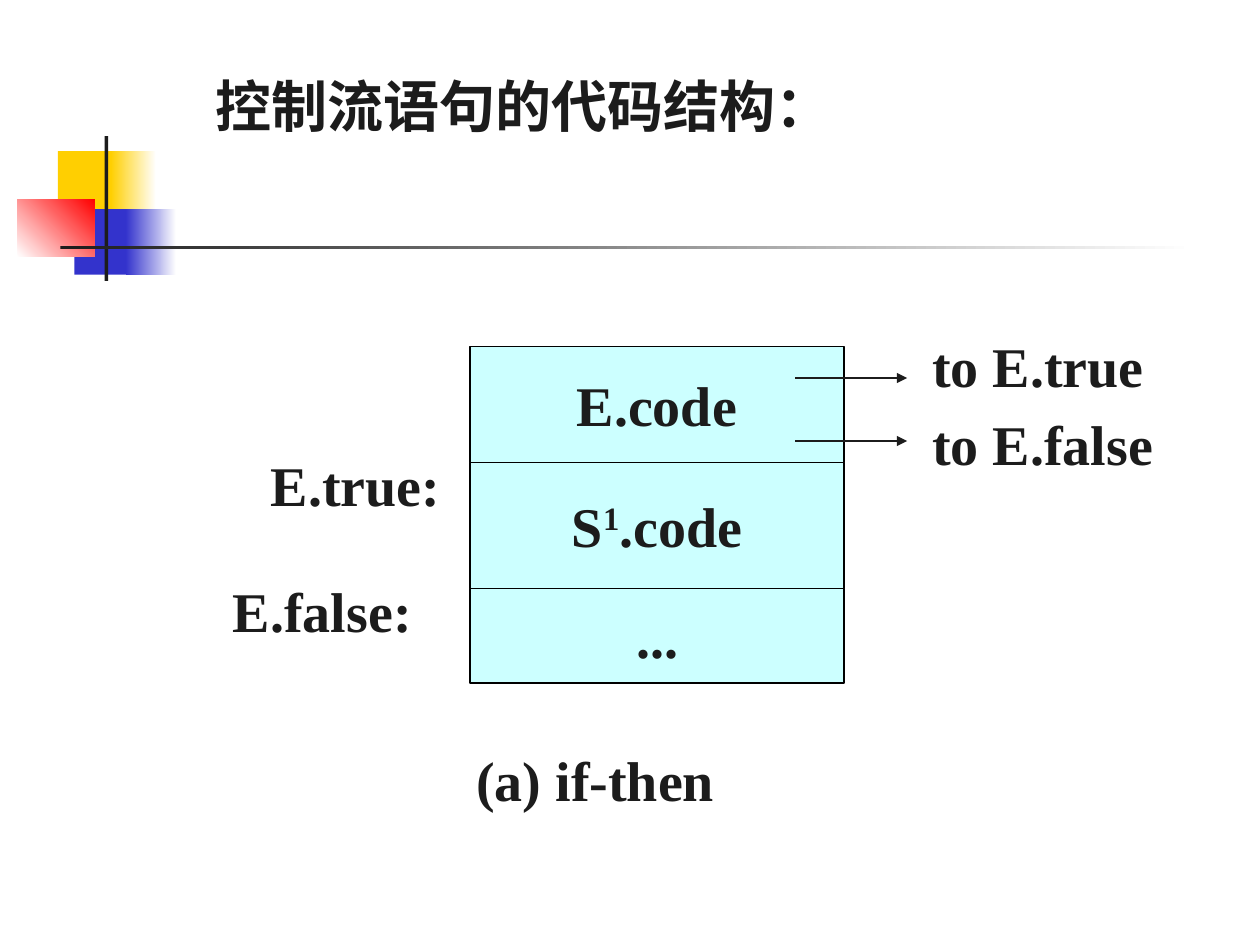
from pptx import Presentation
from pptx.dml.color import RGBColor
from pptx.enum.shapes import MSO_CONNECTOR, MSO_SHAPE
from pptx.enum.text import MSO_ANCHOR, PP_ALIGN
from pptx.oxml.ns import qn
from pptx.util import Inches, Pt
from lxml import etree

RECT, STRAIGHT = MSO_SHAPE.RECTANGLE, MSO_CONNECTOR.STRAIGHT
TOP, MIDDLE = MSO_ANCHOR.TOP, MSO_ANCHOR.MIDDLE
LEFT, CENTER = PP_ALIGN.LEFT, PP_ALIGN.CENTER

THEME = {
    "ink": "1C1C1C", "block": "CCFFFF", "border": "000000", "paper": "FFFFFF",
    "gold": "FFCF01", "blue": "3333CC", "red": "FF0000",
    "font": "Times New Roman", "size": 32, "line": 0.75,
}

# Ornament: left, top, width, height, colours (two make a gradient), angle
ORNAMENT = [
    (0.46, 1.2, 0.48, 0.52, ["gold"], 0),
    (0.88, 1.2, 0.36, 0.52, ["gold", "paper"], 0),
    (0.59, 1.66, 0.46, 0.52, ["blue"], 0),
    (1.0, 1.66, 0.4, 0.52, ["blue", "paper"], 0),
    (0.14, 1.58, 0.61, 0.46, ["paper", "red"], 45),
    (0.83, 1.08, 0.03, 1.15, ["ink"], 0),
    (0.48, 1.95, 9, 0.03, ["ink", "paper"], 0),
]

# Code blocks, stacked downwards: height, runs of (text, is superscript)
STACK_LEFT, STACK_TOP, STACK_WIDTH = 3.73, 2.75, 2.97
BLOCKS = [
    (0.92, [("E.code", False)]),
    (1.0, [("S", False), ("1", True), (".code", False)]),
    (0.75, [("...", False)]),
]

# Labels: text, left, top, width, alignment
LABEL_HEIGHT = 0.64
LABELS = [
    ("E.true:", 2.05, 3.53, 1.88, LEFT),
    ("E.false:", 1.75, 4.53, 1.88, LEFT),
    ("(a) if-then", 2.94, 5.87, 3.57, CENTER),
    ("to E.true", 7.3, 2.58, 2.08, LEFT),
    ("to E.false", 7.3, 3.2, 2.28, LEFT),
]
TITLE = ("控制流语句的代码结构：", 1.61, 0.52, 7.64, LEFT)

EXIT_FROM, EXIT_TO = 6.31, 7.2
EXIT_ROWS = [3, 3.5]


def rgb(name):
    return RGBColor.from_string(THEME[name])


def write(sp, runs, align, anchor, wrap):
    tf = sp.text_frame
    tf.word_wrap, tf.vertical_anchor = wrap, anchor
    p = tf.paragraphs[0]
    p.alignment = align
    font_format = {"name": THEME["font"], "size": Pt(THEME["size"]), "bold": True}
    for text, is_super in runs:
        r = p.add_run()
        r.text = text
        for key, value in font_format.items():
            setattr(r.font, key, value)
        r.font.color.rgb = rgb("ink")
        if is_super:
            r._r.get_or_add_rPr().set("baseline", "30000")


def add_rect(s, left, top, width, height, colours, angle=0):
    """Add a borderless rectangle, solid or with a two-colour gradient."""
    sp = s.shapes.add_shape(RECT, *map(Inches, (left, top, width, height)))
    sp.shadow.inherit = False
    sp.line.fill.background()
    if len(colours) == 1:
        sp.fill.solid()
        sp.fill.fore_color.rgb = rgb(colours[0])
    else:
        sp.fill.gradient()
        sp.fill.gradient_angle = angle
        for stop, colour in zip(sp.fill.gradient_stops, colours):
            stop.color.rgb = rgb(colour)
    return sp


def add_blocks(s):
    top = STACK_TOP
    for height, runs in BLOCKS:
        sp = add_rect(s, STACK_LEFT, top, STACK_WIDTH, height, ["block"])
        sp.line.color.rgb = rgb("border")
        sp.line.width = Pt(THEME["line"])
        write(sp, runs, CENTER, MIDDLE, False)
        top += height


def add_label(s, text, left, top, width, align):
    sp = s.shapes.add_textbox(*map(Inches, (left, top, width, LABEL_HEIGHT)))
    write(sp, [(text, False)], align, TOP, True)


def add_exit_arrow(s, y):
    ends = map(Inches, (EXIT_FROM, y, EXIT_TO, y))
    arrow = s.shapes.add_connector(STRAIGHT, *ends)
    arrow.line.color.rgb = rgb("ink")
    arrow.line.width = Pt(THEME["line"])
    etree.SubElement(arrow.line._get_or_add_ln(), qn("a:tailEnd"), type="triangle")
    etree.SubElement(arrow._element.spPr, qn("a:effectLst"))


def main():
    prs = Presentation()
    prs.slide_width, prs.slide_height = Inches(10), Inches(7.5)
    s = prs.slides.add_slide(prs.slide_layouts[6])
    for part in ORNAMENT:
        add_rect(s, *part)
    add_blocks(s)
    for label in LABELS + [TITLE]:
        add_label(s, *label)
    for y in EXIT_ROWS:
        add_exit_arrow(s, y)
    prs.save("out.pptx")


if __name__ == "__main__":
    main()
